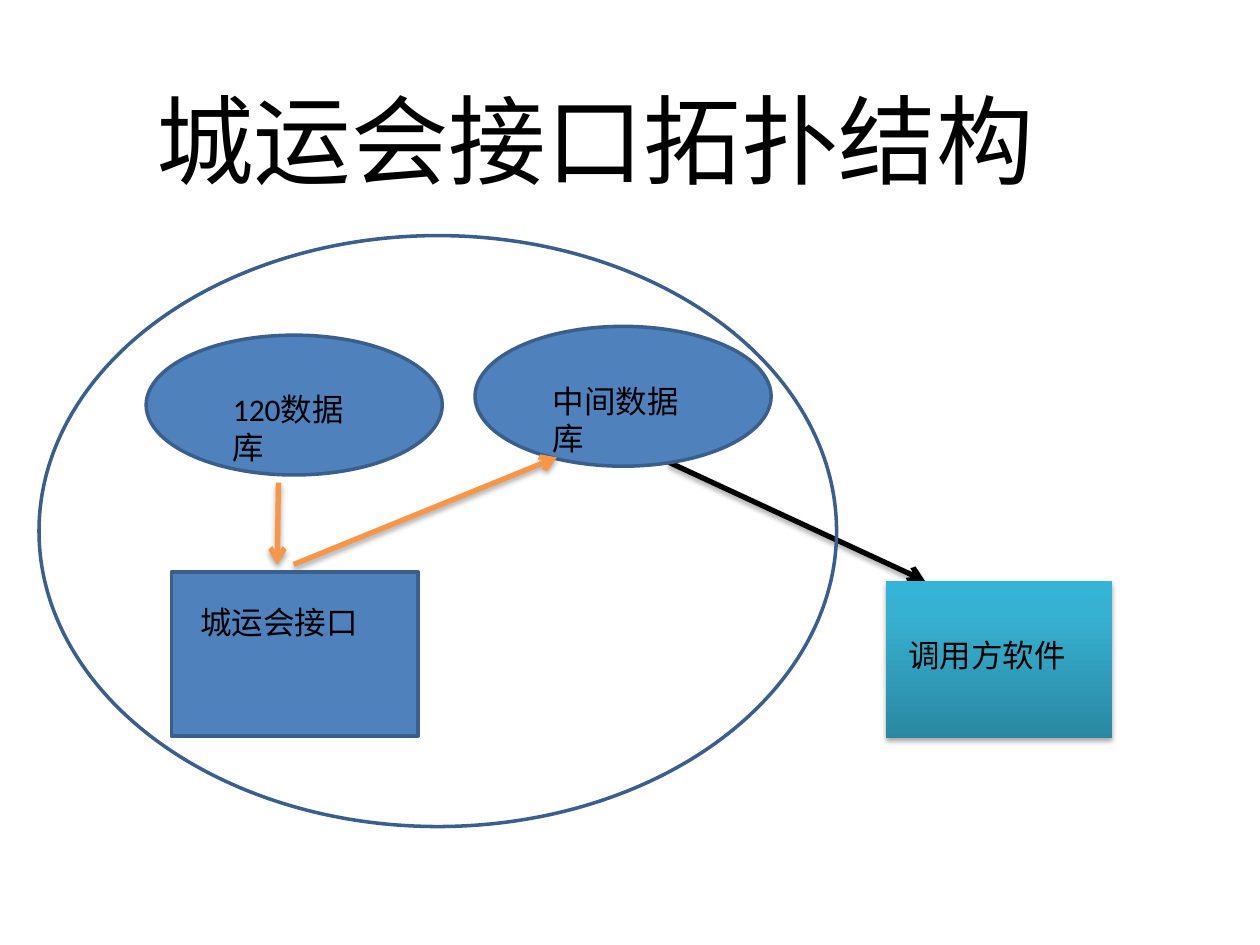
"""Build the topology slide of the city games interface."""
from copy import deepcopy
from dataclasses import dataclass
from typing import Optional

from pptx import Presentation
from pptx.dml.color import RGBColor
from pptx.enum.shapes import MSO_CONNECTOR as Link, MSO_SHAPE as Preset
from pptx.enum.text import MSO_ANCHOR as Anchor, PP_ALIGN as Align
from pptx.oxml import parse_xml
from pptx.oxml.ns import nsdecls, qn
from pptx.util import Inches, Pt

WIDTH, HEIGHT = Inches(10), Inches(7.5)
COLUMNS, ROWS = 100, 75
FONT = "Calibri"
BLACK, BLUE, NAVY, ORANGE = "000000", "4F81BD", "3A5F8C", "F79646"
TEAL = ((0, "2A88A2"), (0.8, "37B1D2"), (1, "34B4D6"))


@dataclass(frozen=True)
class Box:
    col: float
    row: float
    cols: float
    rows: float


@dataclass(frozen=True)
class Node:
    preset: Preset
    box: Box
    fill: Optional[str] = None
    label: str = ""
    label_box: Optional[Box] = None
    gradient: tuple = ()


@dataclass(frozen=True)
class Arrow:
    start: tuple[float, float]
    end: tuple[float, float]
    color: str


def colour(value: str) -> RGBColor:
    return RGBColor.from_string(value)


def x(col: float) -> int:
    return round(WIDTH * col / COLUMNS)


def y(row: float) -> int:
    return round(HEIGHT * row / ROWS)


def place(box: Box) -> tuple[int, int, int, int]:
    return x(box.col), y(box.row), x(box.cols), y(box.rows)


def cast_shadow(part) -> None:
    part._element.spPr.append(parse_xml(
        f'<a:effectLst {nsdecls("a")}>'
        '<a:outerShdw blurRad="40000" dist="23000" dir="5400000" rotWithShape="0">'
        f'<a:srgbClr val="{BLACK}"><a:alpha val="35000"/></a:srgbClr>'
        '</a:outerShdw></a:effectLst>'))


def write(slide, text: str, box: Box, size: float):
    field = slide.shapes.add_textbox(*place(box))
    field.text_frame.word_wrap = True
    run = field.text_frame.paragraphs[0].add_run()
    run.text = text
    run.font.size, run.font.name = Pt(size), FONT
    run.font.color.rgb = colour(BLACK)
    return field.text_frame, run


def draw_title(slide, text: str, box: Box) -> None:
    frame, run = write(slide, text, box, 96)
    frame.vertical_anchor = Anchor.MIDDLE
    frame.paragraphs[0].alignment = Align.CENTER
    run.font._element.set("baseline", "30000")


def shade(outline, stops: tuple) -> None:
    outline.fill.gradient()
    outline.fill.gradient_angle = 90
    stop_list = outline._element.spPr.find(".//" + qn("a:gsLst"))
    stop_list.append(deepcopy(stop_list[-1]))
    for stop, (position, value) in zip(outline.fill.gradient_stops, stops):
        stop.position, stop.color.rgb = position, colour(value)


def draw_node(slide, node: Node) -> None:
    outline = slide.shapes.add_shape(node.preset, *place(node.box))
    if node.gradient:
        shade(outline, node.gradient)
        outline.line.fill.background()
        cast_shadow(outline)
    else:
        outline.shadow.inherit = False
        outline.line.color.rgb = colour(NAVY)
        outline.line.width = Pt(2)
        if node.fill:
            outline.fill.solid()
            outline.fill.fore_color.rgb = colour(node.fill)
        else:
            outline.fill.background()
    if node.label_box:
        write(slide, node.label, node.label_box, 18)


def draw_arrow(slide, arrow: Arrow) -> None:
    (left, top), (right, bottom) = arrow.start, arrow.end
    link = slide.shapes.add_connector(
        Link.STRAIGHT, x(left), y(top), x(right), y(bottom))
    link.line.color.rgb = colour(arrow.color)
    link.line.width = Pt(3)
    link.line._get_or_add_ln().append(
        parse_xml(f'<a:tailEnd {nsdecls("a")} type="arrow"/>'))
    cast_shadow(link)


TOPOLOGY = (
    Arrow((53.1, 36.7), (73.4, 46.1), BLACK),
    Node(Preset.RECTANGLE, Box(70.3, 46.1, 18, 12.5), label="调用方软件",
         label_box=Box(71.1, 50, 17.2, 4), gradient=TEAL),
    Node(Preset.OVAL, Box(11.6, 26.6, 23.5, 11.1), BLUE, "120数据库",
         Box(17.5, 30.5, 13, 3.4)),
    Node(Preset.OVAL, Box(37.7, 25.9, 23.5, 11.1), BLUE, "中间数据库",
         Box(42.9, 29.8, 13.7, 3.4)),
    Arrow((22.1, 38.3), (22, 44.8), ORANGE),
    Arrow((23.3, 44.8), (44.2, 36.3), ORANGE),
    Node(Preset.RECTANGLE, Box(13.6, 45.4, 19.6, 13), BLUE, "城运会接口",
         Box(14.9, 47.4, 17, 4)),
    Node(Preset.OVAL, Box(3.1, 18.7, 63.3, 46.9)),
)


def build() -> None:
    deck = Presentation()
    deck.slide_width, deck.slide_height = WIDTH, HEIGHT
    slide = deck.slides.add_slide(deck.slide_layouts[6])
    draw_title(slide, "城运会接口拓扑结构", Box(4.7, 4.7, 85, 16.1))
    for part in TOPOLOGY:
        if isinstance(part, Arrow):
            draw_arrow(slide, part)
        else:
            draw_node(slide, part)
    deck.save("out.pptx")


build()
